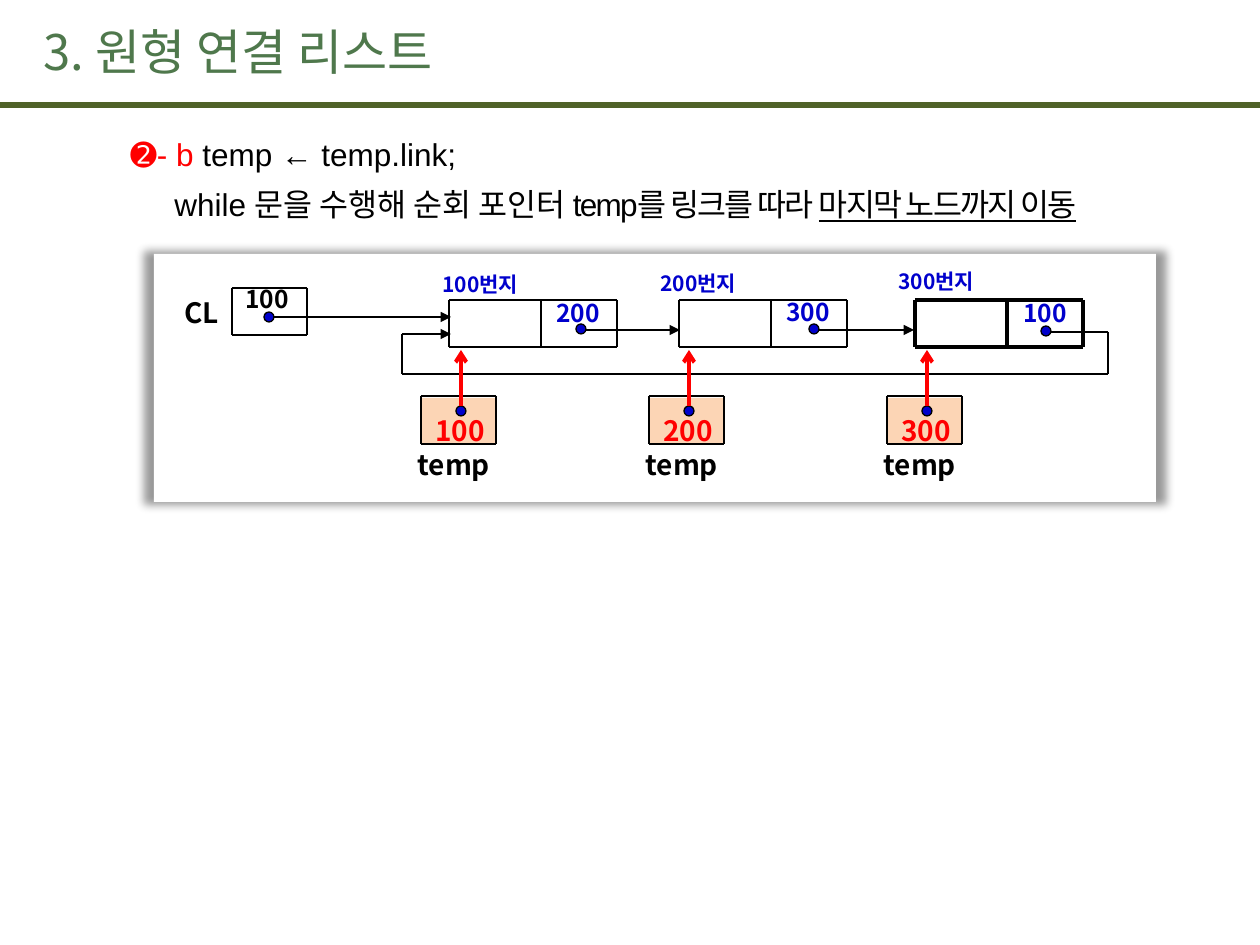
import pptx
import pptx.dml.color
import pptx.enum.shapes
import pptx.enum.text
import pptx.oxml
import pptx.oxml.ns
import pptx.util
from lxml import etree

RGB = pptx.dml.color.RGBColor
SHAPE = pptx.enum.shapes.MSO_SHAPE
STRAIGHT = pptx.enum.shapes.MSO_CONNECTOR.STRAIGHT
ALIGN = pptx.enum.text.PP_ALIGN
Pt = pptx.util.Pt
qn = pptx.oxml.ns.qn

BLACK = RGB(0x00, 0x00, 0x00)
WHITE = RGB(0xFF, 0xFF, 0xFF)
RED = RGB(0xFF, 0x00, 0x00)
BLUE = RGB(0x00, 0x00, 0xCC)
PEACH = RGB(0xFC, 0xD5, 0xB5)
TITLE_GREEN = RGB(0x4F, 0x78, 0x4C)
RULE_GREEN = RGB(0x4F, 0x62, 0x28)

SANS, CJK = "Arial", "Noto Sans CJK KR"
PX_PER_INCH = 126
DOT = 10

TITLE = {"name": CJK, "size": Pt(28)}
BODY = {"name": SANS, "size": Pt(18)}
ADDRESS = {"name": CJK, "size": Pt(12), "bold": True}
LINK = {"name": CJK, "size": Pt(14), "bold": True}
POINTER = {"name": CJK, "size": Pt(16), "bold": True}


def px(n):
    return pptx.util.Emu(round(n * 914400 / PX_PER_INCH))


def add_run(p, text, color, fmt, spacing=None):
    r = p.add_run()
    r.text = text
    for key, value in fmt.items():
        setattr(r.font, key, value)
    r.font.color.rgb = color
    rPr = r._r.get_or_add_rPr()
    if spacing is not None:
        rPr.set("spc", str(spacing))
    ea = etree.SubElement(rPr, qn("a:ea"))
    ea.set("typeface", CJK)


def add_box(s, x, y, w, h, **attrs):
    tf = s.shapes.add_textbox(px(x), px(y), px(w), px(h)).text_frame
    tf.word_wrap = True
    for key, value in attrs.items():
        setattr(tf, key, value)
    return tf


def add_label(s, x, y, w, h, text, color, fmt):
    tf = add_box(s, x, y, w, h, vertical_anchor=pptx.enum.text.MSO_ANCHOR.MIDDLE)
    add_run(tf.paragraphs[0], text, color, fmt)
    return tf


def add_name(s, x, y, w, text):
    tf = add_label(s, x, y, w, 48, text, BLACK, POINTER)
    margins = {"margin_left": 0, "margin_top": 0, "margin_right": 0, "margin_bottom": px(6)}
    for key, value in margins.items():
        setattr(tf, key, value)
    tf.paragraphs[0].alignment = ALIGN.RIGHT


def add_line(s, x1, y1, x2, y2, width=1, color=BLACK, arrow=None):
    sp = s.shapes.add_connector(STRAIGHT, px(x1), px(y1), px(x2), px(y2))
    sp.line.width = Pt(width)
    sp.line.color.rgb = color
    if arrow:
        etree.SubElement(sp.line._get_or_add_ln(), qn("a:tailEnd")).set("type", arrow)
    etree.SubElement(sp._element.spPr, qn("a:effectLst"))


def add_shape(s, kind, x, y, w, h, fill, outline=None):
    sp = s.shapes.add_shape(kind, px(x), px(y), px(w), px(h))
    sp.shadow.inherit = False
    sp.fill.solid()
    sp.fill.fore_color.rgb = fill
    if outline:
        sp.line.color.rgb = BLACK
        sp.line.width = Pt(outline)
    else:
        sp.line.fill.background()
    return sp


def add_dot(s, x, y):
    add_shape(s, SHAPE.OVAL, x, y, DOT, DOT, BLUE, 0.75)


def add_frame(s, xs, top, bottom, width=1):
    for y in (top, bottom):
        add_line(s, xs[0], y, xs[-1], y, width)
    for x in xs:
        add_line(s, x, top, x, bottom, width)


def add_panel(s):
    sp = add_shape(s, SHAPE.RECTANGLE, 154, 254, 1002, 248, WHITE)
    effects = sp._element.spPr.find(qn("a:effectLst"))
    effects.append(pptx.oxml.parse_xml(
        '<a:outerShdw xmlns:a="http://schemas.openxmlformats.org/drawingml/2006/main" '
        'blurRad="63500" sx="102000" sy="102000" algn="ctr" rotWithShape="0">'
        '<a:srgbClr val="000000"><a:alpha val="40000"/></a:srgbClr></a:outerShdw>'))


def add_node(s, x, address, address_at, link, link_at, width):
    add_frame(s, (x, x + 92, x + 168), 300, 347, width)
    add_label(s, *address_at, 121, 23, address, BLUE, ADDRESS)
    add_label(s, *link_at, 71, 23, link, BLUE, LINK)


def add_temp(s, x, value):
    add_shape(s, SHAPE.RECTANGLE, x + 1, 398, 74, 47, PEACH)
    add_name(s, x - 6, 443, 75, "temp")
    add_frame(s, (x, x + 75), 396, 444)
    add_label(s, x + 2, 417, 80, 27, value, RED, POINTER)
    add_dot(s, x + 35, 406)
    add_line(s, x + 40, 406, x + 40, 350, 2.25, RED, "arrow")


def add_body(s):
    tf = add_box(s, 31, 129, 1197, 110)
    first, second = tf.paragraphs[0], tf.add_paragraph()
    add_run(first, "➋- b ", RED, BODY)
    add_run(first, "temp ← temp.link;", BLACK, BODY)
    add_run(second, "while 문을 수행해 순회 포인터 ", BLACK, BODY)
    add_run(second, "temp를 링크를 따라 ", BLACK, BODY, -100)
    add_run(second, "마지막 노드까지 이동", BLACK, {**BODY, "underline": True}, -100)
    second.space_before = Pt(3.6)
    for p, indent in ((first, 87), (second, 131)):
        p.space_after = Pt(3)
        p._p.get_or_add_pPr().set("marL", str(px(indent)))


def main():
    prs = pptx.Presentation()
    prs.slide_width, prs.slide_height = px(1260), px(945)
    s = prs.slides.add_slide(prs.slide_layouts[6])

    # Heading and explanation
    add_line(s, 0, 105, 1260, 105, 3.75, RULE_GREEN)
    add_body(s)
    add_label(s, 31, 11, 1042, 79, "3. 원형 연결 리스트", TITLE_GREEN, TITLE)
    add_panel(s)

    # Links between neighbouring nodes
    for x, end in ((576, 680), (809, 914)):
        add_line(s, x + DOT, 330, end, 330, 0.75, arrow="triangle")
        add_dot(s, x, 324)

    # List nodes, the last one emphasised
    add_node(s, 449, "100번지", (430, 273), "200", (544, 301), 1)
    add_node(s, 679, "200번지", (648, 272), "300", (774, 300), 1)
    add_node(s, 915, "300번지", (886, 270), "100", (1011, 301), 2.25)

    # Head pointer
    add_name(s, 161, 291, 58, "CL")
    add_frame(s, (232, 307), 288, 335)
    add_dot(s, 264, 312)
    add_label(s, 233, 287, 71, 23, "100", BLACK, LINK)
    add_line(s, 273, 317, 451, 317, 0.75, arrow="triangle")

    # Link from the last node back to the first
    add_dot(s, 1041, 326)
    route = [(1051, 332), (1108, 332), (1108, 374), (402, 374), (402, 334), (451, 334)]
    for start, end in zip(route, route[1:]):
        add_line(s, *start, *end, arrow="triangle" if end == route[-1] else None)

    # Positions of the traversal pointer
    for x, value in ((421, "100"), (649, "200"), (887, "300")):
        add_temp(s, x, value)

    prs.save("out.pptx")


if __name__ == "__main__":
    main()
